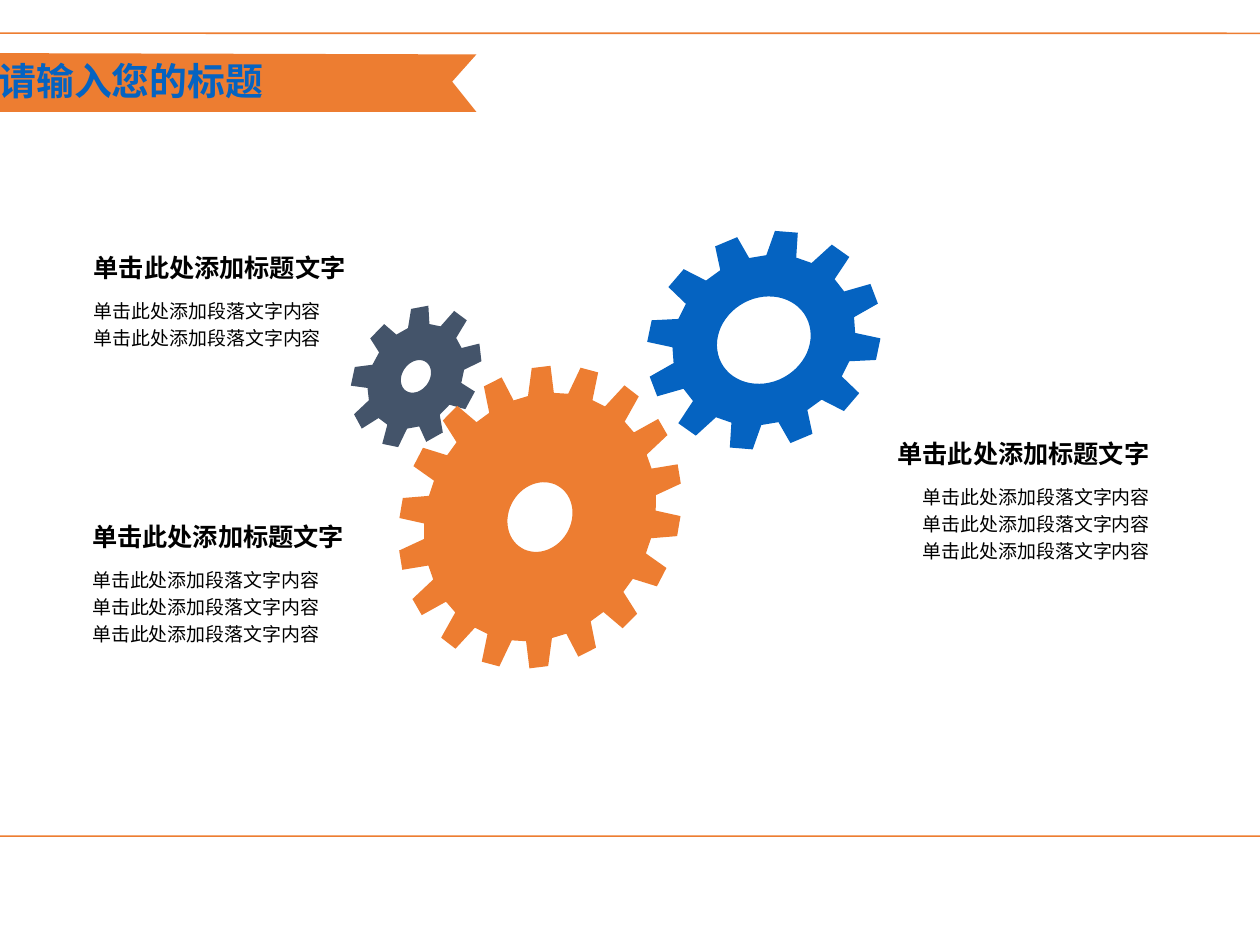
from dataclasses import dataclass
from math import cos, sin, tau

from lxml.etree import SubElement
from pptx import Presentation
from pptx.dml.color import RGBColor
from pptx.enum.shapes import MSO_SHAPE
from pptx.enum.text import MSO_AUTO_SIZE, PP_ALIGN
from pptx.oxml.ns import qn
from pptx.util import Inches, Pt

Point = tuple[float, float]

COLORS = {"orange": "ED7D31", "blue": "0563C1", "slate": "44546A",
          "white": "FFFFFF", "black": "000000"}
SANS = "Noto Sans CJK SC"
HEAD = "单击此处添加标题文字"
BODY = "单击此处添加段落文字内容"
HEAD_W, HEAD_H, BODY_W, LINE_H = 1.84, 0.28, 1.96, 0.21
TIP, BASE = 0.19, 0.32  # half widths of a tooth, as shares of the pitch


@dataclass
class Gear:
    """A slanted gear: side points to the first tooth, rise a quarter turn on."""
    color: str
    teeth: int
    center: Point
    side: Point
    rise: Point
    root: float
    hole: float

    def spot(self, turn: float, reach: float) -> Point:
        c, s = reach * cos(tau * turn), reach * sin(tau * turn)
        x, y = (mid + c * a + s * b
                for mid, a, b in zip(self.center, self.side, self.rise))
        return x, y

    def rim(self) -> list[Point]:
        corners = [(-BASE, self.root), (-TIP, 1), (TIP, 1), (BASE, self.root)]
        return [self.spot((tooth + shift) / self.teeth, reach)
                for tooth in range(self.teeth) for shift, reach in corners]

    def bore(self, steps: int = 60) -> list[Point]:
        return [self.spot(step / steps, self.hole) for step in range(steps)]


@dataclass
class Block:
    left: float
    top: float
    lines: int
    align: PP_ALIGN = PP_ALIGN.LEFT


@dataclass
class Style:
    size: float
    color: str = "black"
    font: str = SANS
    bold: bool = False
    align: PP_ALIGN = PP_ALIGN.LEFT
    spacing: float = 1.0
    wrap: bool = True


RIBBON = [(-0.49, 0.74), (3.15, 0.74), (2.99, 0.54), (3.15, 0.36), (-0.48, 0.35)]

GEARS = [
    Gear("slate", 9, (2.75, 2.49), (0.43, -0.16), (-0.05, -0.44), 0.74, 0.23),
    Gear("blue", 12, (5.05, 2.25), (0.76, 0.06), (0.15, -0.72), 0.78, 0.4),
    Gear("orange", 18, (3.57, 3.42), (0.92, 0.06), (0.17, -1), 0.82, 0.23),
]

BLOCKS = [Block(0.54, 1.63, 2), Block(0.53, 3.41, 3),
          Block(5.84, 2.86, 3, PP_ALIGN.RIGHT)]


def rgb(name: str) -> RGBColor:
    return RGBColor.from_string(COLORS[name])


def add_outline(shapes, color: str, *rings: list[Point]) -> None:
    """Fill the first ring and cut the others out of it."""
    first, *holes = [[(Inches(x), Inches(y)) for x, y in ring] for ring in rings]
    pen = shapes.build_freeform(*first[0])
    pen.add_line_segments(first[1:], close=True)
    for hole in holes:
        pen.move_to(*hole[0])
        pen.add_line_segments(hole[1:], close=True)
    shape = pen.convert_to_shape()
    shape.shadow.inherit = False
    shape.fill.solid()
    shape.fill.fore_color.rgb = rgb(color)
    shape.line.fill.background()


def add_frame(shapes) -> None:
    frame = shapes.add_shape(MSO_SHAPE.ROUNDED_RECTANGLE, Inches(-0.28), Inches(0.22),
                             Inches(8.94), Inches(5.31))
    frame.adjustments[0] = 0.03
    frame.shadow.inherit = False
    frame.fill.solid()
    frame.fill.fore_color.rgb = rgb("white")
    tint = frame._element.spPr.find(qn("a:solidFill"))[0]
    SubElement(tint, qn("a:alpha"), val="70000")
    frame.line.color.rgb = rgb("orange")
    frame.line.width = Pt(0.75)


def add_text(shapes, box: tuple[float, float, float, float],
             lines: list[str], style: Style) -> None:
    frame = shapes.add_textbox(*map(Inches, box)).text_frame
    frame.margin_left = frame.margin_right = Inches(0.08)
    frame.margin_top = frame.margin_bottom = Inches(0.04)
    frame.word_wrap = style.wrap
    frame.auto_size = MSO_AUTO_SIZE.SHAPE_TO_FIT_TEXT
    frame.text = "\n".join(lines)
    for para in frame.paragraphs:
        para.alignment = style.align
        para.line_spacing = style.spacing
        font = para.font
        font.size, font.bold, font.name = Pt(style.size), style.bold, style.font
        font.color.rgb = rgb(style.color)
        SubElement(para._p.pPr.find(qn("a:defRPr")), qn("a:ea"), typeface=style.font)


def add_block(shapes, block: Block) -> None:
    right = block.align == PP_ALIGN.RIGHT
    left = block.left + HEAD_W - BODY_W if right else block.left
    add_text(shapes, (left, block.top + HEAD_H, BODY_W, block.lines * LINE_H),
             [BODY] * block.lines, Style(9, align=block.align, spacing=1.2))
    add_text(shapes, (block.left, block.top, HEAD_W, HEAD_H), [HEAD],
             Style(12, bold=True, align=block.align, wrap=False))


def main() -> None:
    deck = Presentation()
    deck.slide_width, deck.slide_height = Inches(8.33), Inches(6.25)
    shapes = deck.slides.add_slide(deck.slide_layouts[6]).shapes
    add_frame(shapes)
    add_outline(shapes, "orange", RIBBON)
    add_text(shapes, (-0.09, 0.34, 2.69, 0.38), ["请输入您的标题"],
             Style(18, "blue", "Arial", bold=True))
    for gear in GEARS:
        add_outline(shapes, gear.color, gear.rim(), gear.bore())
    for block in BLOCKS:
        add_block(shapes, block)
    deck.save("out.pptx")


if __name__ == "__main__":
    main()
